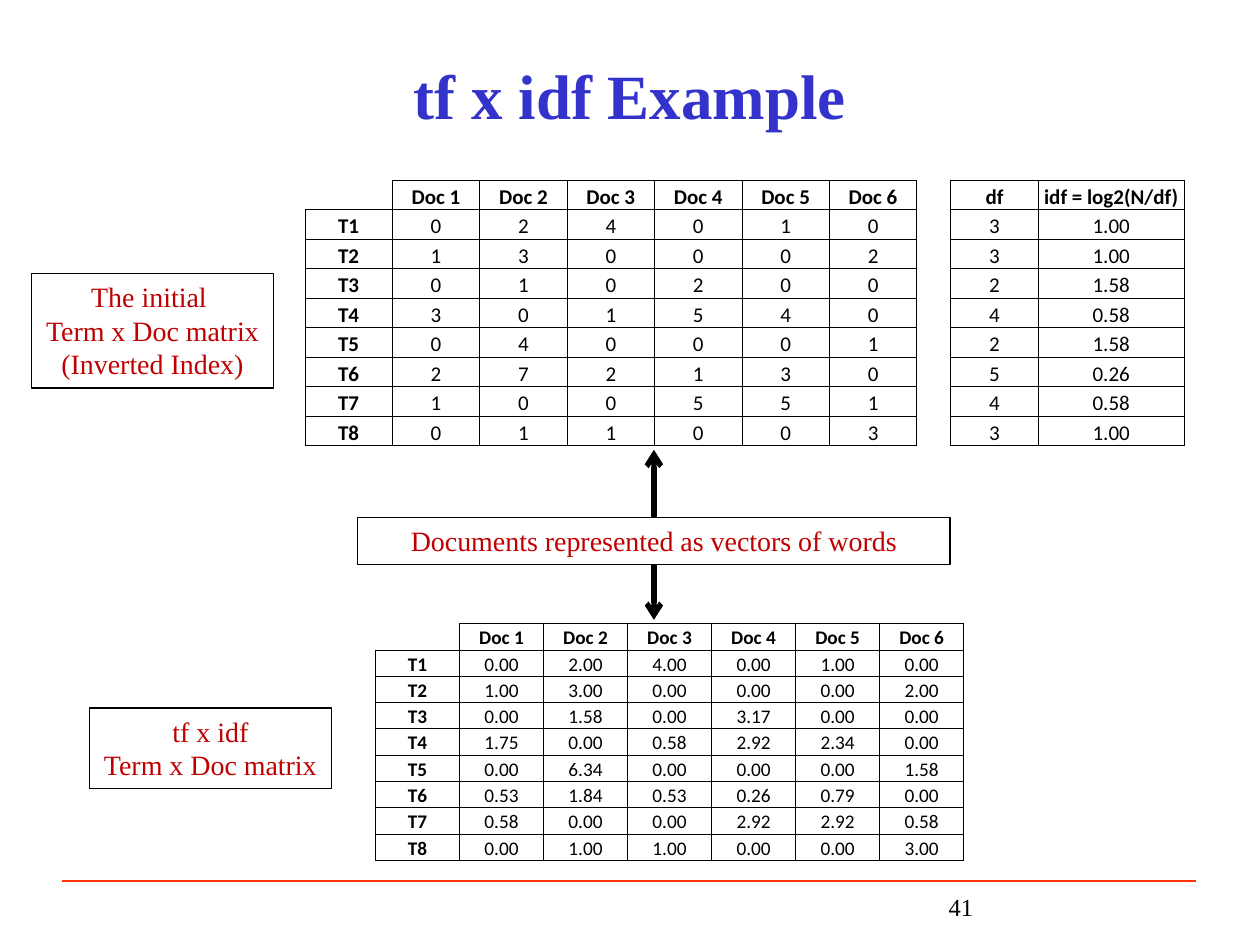
"""Build the slide that weights a term-document matrix by tf x idf."""
from dataclasses import dataclass
from math import log2

from lxml.etree import SubElement
from pptx import Presentation
from pptx.dml.color import RGBColor
from pptx.enum.shapes import MSO_CONNECTOR as Connector, MSO_SHAPE as Preset
from pptx.enum.text import MSO_ANCHOR as Anchor, PP_ALIGN as Align
from pptx.oxml.ns import qn
from pptx.util import Inches, Pt

BLACK, RED, BLUE, ORANGE = "000000", "C00000", "3333CC", "FF3300"
SERIF, SANS = "Times New Roman", "Calibri"
TERM_COUNTS = [
    [0, 2, 4, 0, 1, 0],
    [1, 3, 0, 0, 0, 2],
    [0, 1, 0, 2, 0, 0],
    [3, 0, 1, 5, 4, 0],
    [0, 4, 0, 0, 0, 1],
    [2, 7, 2, 1, 3, 0],
    [1, 0, 0, 5, 5, 1],
    [0, 1, 1, 0, 0, 3],
]
DOC_COUNT = len(TERM_COUNTS[0])


@dataclass
class Area:
    left: float
    top: float
    width: float
    height: float

    def lengths(self) -> list:
        return [Inches(n) for n in (self.left, self.top, self.width, self.height)]


@dataclass
class Label:
    text: str
    area: Area
    wrap: bool = False


@dataclass
class Matrix:
    rows: list[list[str]]
    area: Area
    widths: list[float]
    size: int


def colour(hex_code: str) -> RGBColor:
    return RGBColor.from_string(hex_code)


def write(frame, text: str, *, size: int, font: str = SERIF, ink: str = BLACK,
          bold: bool = False, align=Align.CENTER) -> None:
    for index, line in enumerate(text.split("\n")):
        paragraph = frame.add_paragraph() if index else frame.paragraphs[0]
        paragraph.alignment = align
        if not line:
            SubElement(paragraph._p, qn("a:endParaRPr"), sz=str(size * 100))
            continue
        run = paragraph.add_run()
        run.text = line
        run.font.size, run.font.name, run.font.bold = Pt(size), font, bold
        run.font.color.rgb = colour(ink)


def add_text(slide, text: str, area: Area, anchor=Anchor.TOP, **style) -> None:
    frame = slide.shapes.add_textbox(*area.lengths()).text_frame
    frame.word_wrap = True
    frame.vertical_anchor = anchor
    write(frame, text, **style)


def add_label(slide, label: Label):
    box = slide.shapes.add_shape(Preset.RECTANGLE, *label.area.lengths())
    box.shadow.inherit = False
    box.fill.background()
    box.line.color.rgb = colour(BLACK)
    box.line.width = Pt(0.75)
    box.text_frame.word_wrap = label.wrap
    box.text_frame.vertical_anchor = Anchor.TOP
    write(box.text_frame, label.text, size=16, ink=RED)
    return box


def add_line(slide, start: tuple[float, float], end: tuple[float, float],
             ink: str, weight: float):
    ends = [Inches(n) for n in (*start, *end)]
    line = slide.shapes.add_connector(Connector.STRAIGHT, *ends)
    line.line.color.rgb = colour(ink)
    line.line.width = Pt(weight)
    SubElement(line._element.spPr, qn("a:effectLst"))
    return line


def add_arrow(slide, box, site: int, start: tuple[float, float],
              end: tuple[float, float]) -> None:
    arrow = add_line(slide, start, end, BLACK, 3)
    arrow.begin_connect(box, site)
    SubElement(arrow.line._get_or_add_ln(), qn("a:tailEnd"), type="arrow")


def add_border(cell, side: str, visible: bool) -> None:
    border = SubElement(cell._tc.get_or_add_tcPr(), qn(f"a:ln{side}"), w=str(Pt(0.5)))
    if visible:
        SubElement(SubElement(border, qn("a:solidFill")), qn("a:srgbClr"), val=BLACK)
    else:
        SubElement(border, qn("a:noFill"))


def add_matrix(slide, matrix: Matrix) -> None:
    rows = matrix.rows
    table = slide.shapes.add_table(len(rows), len(rows[0]), *matrix.area.lengths()).table
    table.first_row = table.horz_banding = False
    for column, width in zip(table.columns, matrix.widths):
        column.width = Inches(width)
    for row in table.rows:
        row.height = Inches(matrix.area.height / len(rows))

    def filled(r: int, c: int) -> bool:
        return 0 <= r < len(rows) and 0 <= c < len(rows[0]) and bool(rows[r][c])

    for r, texts in enumerate(rows):
        for c, text in enumerate(texts):
            cell = table.cell(r, c)
            cell.margin_left = cell.margin_right = cell.margin_top = Inches(0.01)
            cell.margin_bottom = 0
            cell.vertical_anchor = Anchor.BOTTOM
            neighbours = {"L": (r, c - 1), "R": (r, c + 1), "T": (r - 1, c), "B": (r + 1, c)}
            for side, place in neighbours.items():
                add_border(cell, side, filled(r, c) or filled(*place))
            cell.fill.background()
            write(cell.text_frame, text, size=matrix.size, font=SANS,
                  bold=r == 0 or c == 0)


def matrix_rows() -> tuple[list[list[str]], list[list[str]]]:
    header = ["", *(f"Doc {n}" for n in range(1, DOC_COUNT + 1))]
    initial = [[*header, "", "df", "idf = log2(N/df)"]]
    weighted = [header]
    for number, counts in enumerate(TERM_COUNTS, 1):
        df = sum(count > 0 for count in counts)
        idf = log2(DOC_COUNT / df)
        initial.append([f"T{number}", *map(str, counts), "", str(df), f"{idf:.2f}"])
        weighted.append([f"T{number}", *(f"{count * idf:.2f}" for count in counts)])
    return initial, weighted


def main() -> None:
    deck = Presentation()
    deck.slide_width, deck.slide_height = Inches(10), Inches(7.5)
    slide = deck.slides.add_slide(deck.slide_layouts[6])

    add_line(slide, (0.49, 6.99), (9.49, 6.99), ORANGE, 1)
    add_text(slide, "tf x idf Example", Area(0.75, 0.33, 8.5, 0.83), Anchor.MIDDLE,
             size=36, ink=BLUE, bold=True)
    add_text(slide, "41", Area(7.43, 7.03, 2.08, 0.25), size=14, align=Align.LEFT)

    initial, weighted = matrix_rows()
    gap, idf_width = 0.27, 1.16
    initial_area = Area(2.42, 1.43, 6.98, 2.11)
    weighted_area = Area(2.98, 4.95, 4.67, 1.88)
    unit = (initial_area.width - gap - idf_width) / (DOC_COUNT + 2)
    initial_widths = [unit] * (DOC_COUNT + 1) + [gap, unit, idf_width]
    weighted_widths = [weighted_area.width / (DOC_COUNT + 1)] * (DOC_COUNT + 1)
    add_matrix(slide, Matrix(initial, initial_area, initial_widths, 12))
    add_matrix(slide, Matrix(weighted, weighted_area, weighted_widths, 11))

    add_label(slide, Label("The initial \nTerm x Doc matrix\n(Inverted Index)",
                           Area(0.25, 2.17, 1.92, 0.91)))
    add_label(slide, Label("tf x idf\nTerm x Doc matrix", Area(0.71, 5.62, 1.92, 0.64)))
    vectors = add_label(slide, Label("Documents represented as vectors of words",
                                     Area(2.84, 4.11, 4.7, 0.37), wrap=True))
    add_arrow(slide, vectors, 0, (5.19, 4.11), (5.19, 3.57))
    add_arrow(slide, vectors, 2, (5.19, 4.48), (5.19, 4.92))
    deck.save("out.pptx")


if __name__ == "__main__":
    main()
